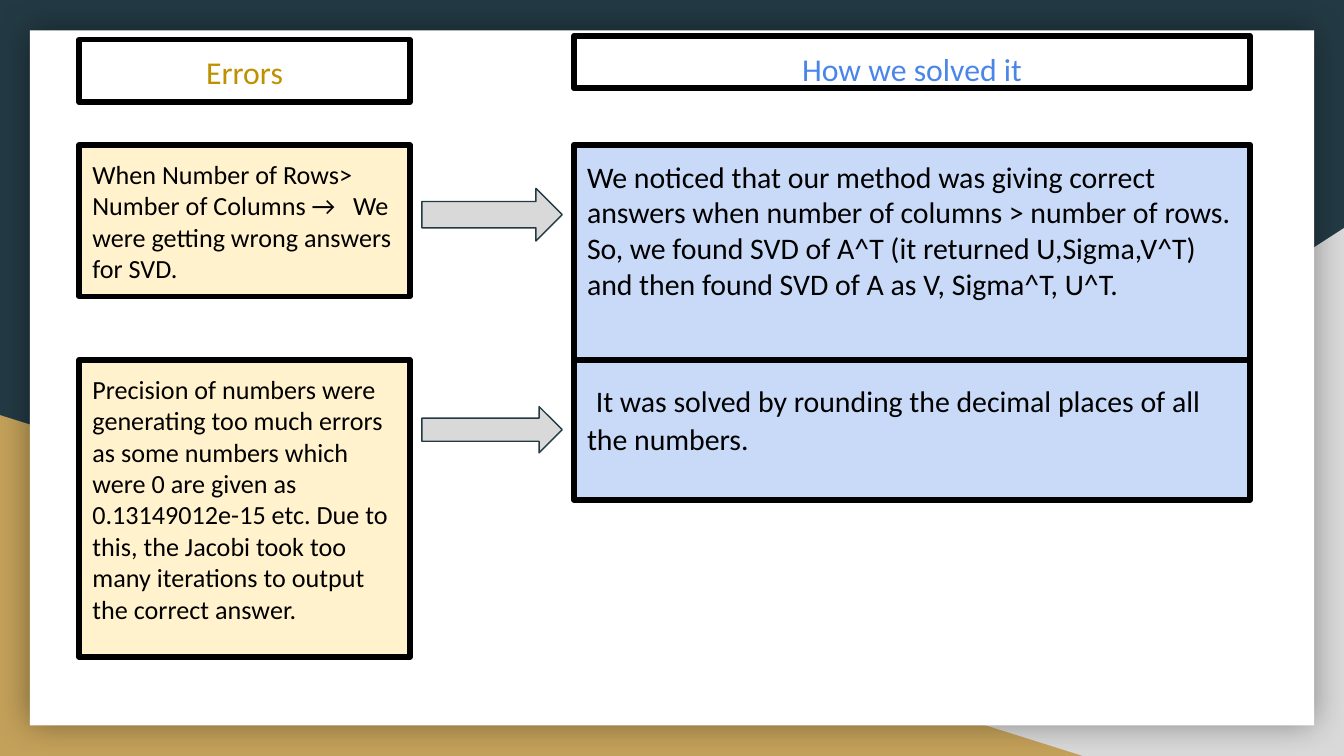
"""Build a slide that pairs errors met in an SVD project with their fixes."""
import pptx
import pptx.dml.color
import pptx.enum.shapes
import pptx.enum.text
import pptx.oxml
import pptx.util

Pt = pptx.util.Pt
RGB = pptx.dml.color.RGBColor
KIND = pptx.enum.shapes.MSO_SHAPE
ALIGN = pptx.enum.text.PP_ALIGN

BLACK = RGB(0x00, 0x00, 0x00)
WHITE = RGB(0xFF, 0xFF, 0xFF)
NAVY = RGB(0x23, 0x3A, 0x44)
GRAY = RGB(0xD9, 0xD9, 0xD9)
TAN = RGB(0xC4, 0xA1, 0x5A)
GOLD = RGB(0xBF, 0x90, 0x00)
BLUE = RGB(0x4A, 0x86, 0xE8)
CREAM = RGB(0xFF, 0xF2, 0xCC)
PALE = RGB(0xC9, 0xDA, 0xF8)

deck = pptx.Presentation()
deck.slide_width, deck.slide_height = Pt(720), Pt(405)
slide = deck.slides.add_slide(deck.slide_layouts[6])
slide.background.fill.solid()
slide.background.fill.fore_color.rgb = NAVY


def add_shape(kind, box, fill=None, line=None, width=3):
    shape = slide.shapes.add_shape(kind, *[Pt(size) for size in box])
    shape.shadow.inherit = False
    if fill is None:
        shape.fill.background()
    else:
        shape.fill.solid()
        shape.fill.fore_color.rgb = fill
    if line is None:
        shape.line.fill.background()
    else:
        shape.line.color.rgb = line
        shape.line.width = Pt(width)
    return shape


def add_text(shape, text, size=14, color=BLACK, align=ALIGN.LEFT, lead=None):
    frame = shape.text_frame
    frame.word_wrap = True
    frame.vertical_anchor = pptx.enum.text.MSO_ANCHOR.TOP
    frame.margin_left = frame.margin_right = Pt(7.2)
    frame.margin_top = frame.margin_bottom = Pt(7.2)
    para = frame.paragraphs[0]
    para.alignment = align
    parts = [(text, size)]
    if lead:
        parts.insert(0, (" ", lead))
    for words, points in parts:
        run = para.add_run()
        run.text = words
        run.font.name = "Calibri"
        run.font.size = Pt(points)
        run.font.color.rgb = color


wedge = add_shape(KIND.RIGHT_TRIANGLE, (282, 122.2, 438, 282.8), GRAY)
wedge.element.spPr.xfrm.set("flipH", "1")
add_shape(KIND.RIGHT_TRIANGLE, (0, 222.4, 580, 182.6), TAN)
panel = add_shape(KIND.RECTANGLE, (16, 16.2, 688, 372.4), WHITE)
glow = pptx.oxml.parse_xml(
    '<a:outerShdw xmlns:a="http://schemas.openxmlformats.org/drawingml/2006/main"'
    f' blurRad="{Pt(18)}" dist="0" dir="0" algn="ctr" rotWithShape="0">'
    '<a:srgbClr val="000000"><a:alpha val="40000"/></a:srgbClr></a:outerShdw>')
panel.element.spPr.find(pptx.oxml.ns.qn("a:effectLst")).append(glow)

LEFT, RIGHT = (42.4, 177.2), (307.4, 362.4)
heads = [
    (LEFT, 21.2, 33.6, "Errors", GOLD),
    (RIGHT, 19.3, 28, "How we solved it", BLUE),
]
for (x, wide), top, high, text, color in heads:
    head = add_shape(KIND.RECTANGLE, (x, top, wide, high), line=BLACK)
    add_text(head, text, size=17, color=color, align=ALIGN.CENTER)

ROWS = (77.6, 192.8)
cards = [
    (LEFT, ROWS[0], 81.2, CREAM, 14, None,
     "When Number of Rows> Number of Columns →   We were getting wrong "
     "answers for SVD."),
    (RIGHT, ROWS[0], ROWS[1] - ROWS[0], PALE, 16, None,
     "We noticed that our method was giving correct answers when number of "
     "columns > number of rows. So, we found SVD of A^T (it returned "
     "U,Sigma,V^T) and then found SVD of A as V, Sigma^T, U^T."),
    (LEFT, ROWS[1], 159.2, CREAM, 14, None,
     "Precision of numbers were generating too much errors as some numbers "
     "which were 0 are given as 0.13149012e-15 etc. Due to this, the Jacobi "
     "took too many iterations to output the correct answer."),
    (RIGHT, ROWS[1], 75, PALE, 16, 21,
     "It was solved by rounding the decimal places of all the numbers."),
]
for (x, wide), top, high, fill, size, lead, text in cards:
    card = add_shape(KIND.RECTANGLE, (x, top, wide, high), fill, BLACK)
    add_text(card, text, size=size, lead=lead)

for top, high in zip(ROWS, (28.2, 24.8)):
    middle = top + 37.4
    add_shape(KIND.RIGHT_ARROW, (226, middle - high / 2, 75.2, high),
              GRAY, NAVY, 0.75)

deck.save("out.pptx")
